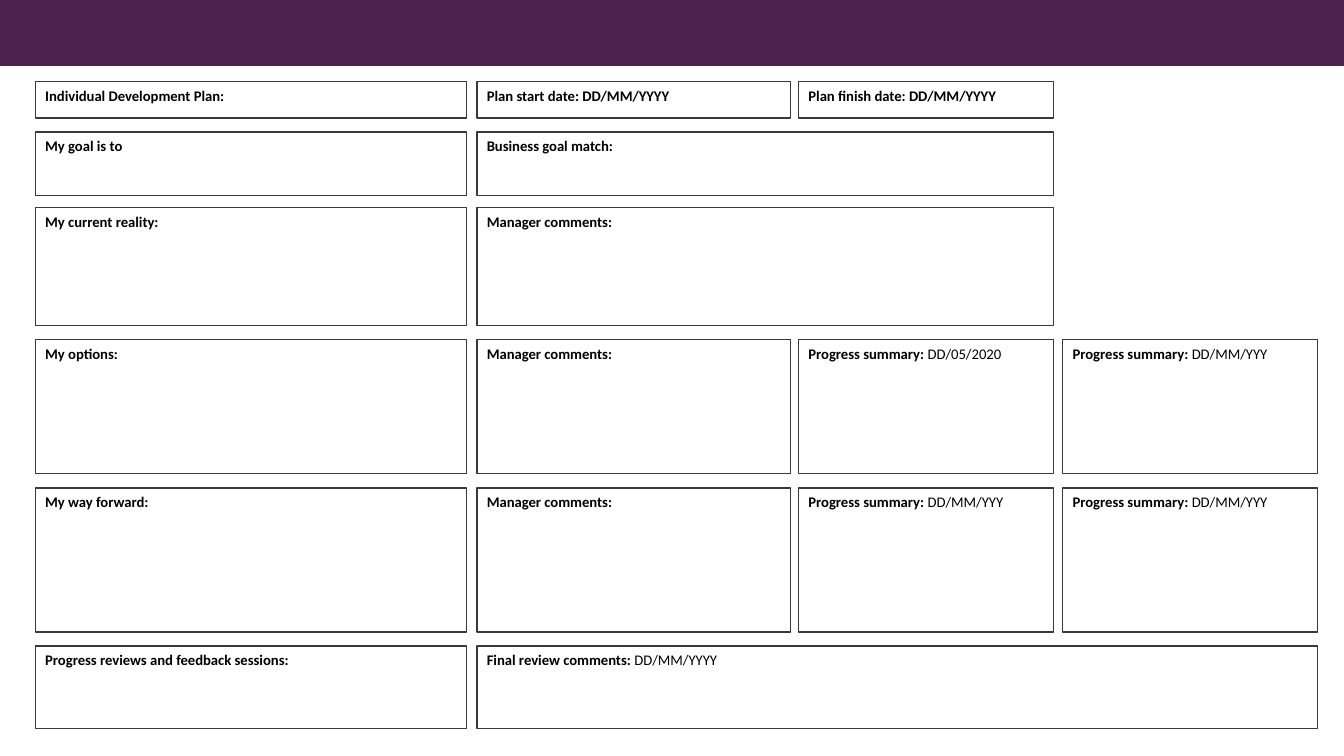
from pptx import Presentation
from pptx.dml.color import RGBColor
from pptx.enum.shapes import MSO_SHAPE
from pptx.enum.text import MSO_ANCHOR, PP_ALIGN
from pptx.util import Inches, Pt

COLORS = {"banner": "4C224C", "banner_edge": "4C224B", "border": "3B3838", "text": "000000"}
COLUMN_LEFTS = [0.35, 4.73, 7.92, 10.54]
COLUMN_RIGHTS = [4.63, 7.84, 10.45, 13.07]

# Each row: top, height, sections as (first column, last column, label, date)
PLAN_ROWS = [
    (0.81, 0.36, [(0, 0, "Individual Development Plan:", ""),
                  (1, 1, "Plan start date: DD/MM/YYYY", ""),
                  (2, 2, "Plan finish date: DD/MM/YYYY", "")]),
    (1.31, 0.63, [(0, 0, "My goal is to", ""),
                  (1, 2, "Business goal match:", "")]),
    (2.06, 1.17, [(0, 0, "My current reality:", ""),
                  (1, 2, "Manager comments:", "")]),
    (3.37, 1.33, [(0, 0, "My options:", ""),
                  (1, 1, "Manager comments:", ""),
                  (2, 2, "Progress summary: ", "DD/05/2020"),
                  (3, 3, "Progress summary: ", "DD/MM/YYY")]),
    (4.84, 1.43, [(0, 0, "My way forward:", ""),
                  (1, 1, "Manager comments:", ""),
                  (2, 2, "Progress summary: ", "DD/MM/YYY"),
                  (3, 3, "Progress summary: ", "DD/MM/YYY")]),
    (6.41, 0.82, [(0, 0, "Progress reviews and feedback sessions:", ""),
                  (1, 3, "Final review comments: ", "DD/MM/YYYY")]),
]


def rgb(name):
    return RGBColor.from_string(COLORS[name])


def add_box(slide, left, top, width, height, border, border_width, fill=None):
    box = slide.shapes.add_shape(MSO_SHAPE.RECTANGLE, Inches(left), Inches(top),
                                 Inches(width), Inches(height))
    box.shadow.inherit = False
    if fill:
        box.fill.solid()
        box.fill.fore_color.rgb = rgb(fill)
    else:
        box.fill.background()
    box.line.color.rgb = rgb(border)
    box.line.width = Pt(border_width)
    return box


def add_text(paragraph, text, size=10.5, bold=False, color="text", font="Calibri"):
    run = paragraph.add_run()
    run.text = text
    run.font.size = Pt(size)
    run.font.bold = bold
    run.font.name = font
    run.font.color.rgb = rgb(color)


def add_section(slide, left, top, width, height, label, date):
    """Add an outlined plan section with a bold label and an optional plain date."""
    section = add_box(slide, left, top, width, height, "border", 1)
    frame = section.text_frame
    frame.word_wrap = True
    frame.vertical_anchor = MSO_ANCHOR.TOP
    heading = frame.paragraphs[0]
    heading.alignment = PP_ALIGN.LEFT
    add_text(heading, label, bold=True)
    if date:
        add_text(heading, date)


def main():
    prs = Presentation()
    prs.slide_width = Inches(13.33)
    prs.slide_height = Inches(7.5)
    slide = prs.slides.add_slide(prs.slide_layouts[6])

    add_box(slide, 0, 0, 13.33, 0.65, "banner_edge", 0.75, fill="banner")
    for top, height, sections in PLAN_ROWS:
        for first, last, label, date in sections:
            left = COLUMN_LEFTS[first]
            add_section(slide, left, top, COLUMN_RIGHTS[last] - left, height, label, date)

    prs.save("out.pptx")


if __name__ == "__main__":
    main()
